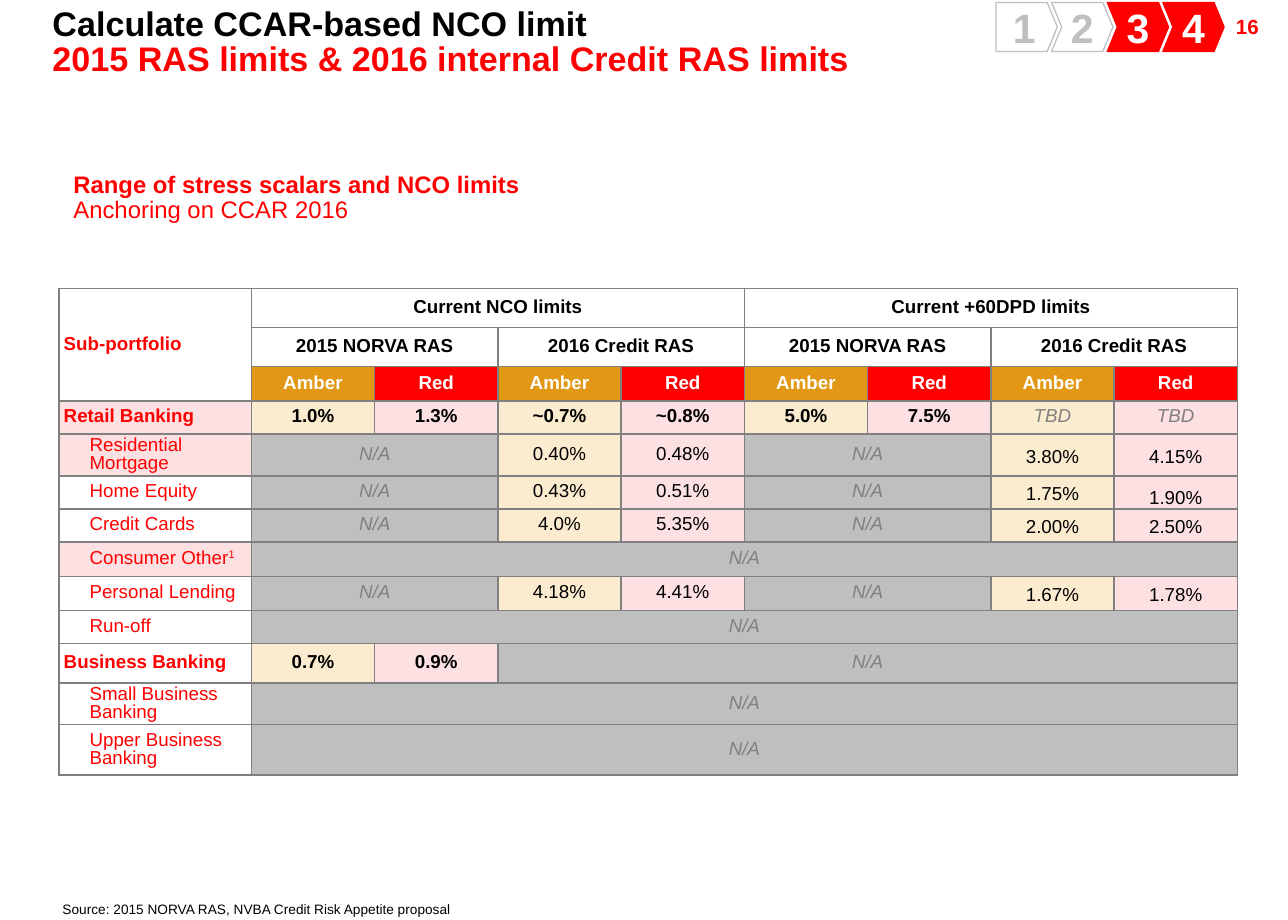
from lxml import etree
from pptx import Presentation, util as u
from pptx.dml.color import RGBColor
from pptx.enum import shapes, text
from pptx.oxml import ns

WIDTH, HEIGHT = 10.5, 7.5
RED = RGBColor(0xFF, 0x00, 0x00)
AMBER = RGBColor(0xE2, 0x98, 0x15)
PALE_RED = RGBColor(0xFC, 0xE0, 0xE2)
PALE_AMBER = RGBColor(0xFB, 0xEB, 0xCF)
BLACK = RGBColor(0x00, 0x00, 0x00)
WHITE = RGBColor(0xFF, 0xFF, 0xFF)
GREY = RGBColor(0x80, 0x80, 0x80)
SILVER = RGBColor(0xBF, 0xBF, 0xBF)

LEFT, CENTER, RIGHT = text.PP_ALIGN.LEFT, text.PP_ALIGN.CENTER, text.PP_ALIGN.RIGHT
TOP, MIDDLE, BOTTOM = text.MSO_ANCHOR.TOP, text.MSO_ANCHOR.MIDDLE, text.MSO_ANCHOR.BOTTOM

# Table content: None continues the cell to its left
NA2, NA6, NA8 = (["N/A"] + [None] * (span - 1) for span in (2, 6, 8))
HEADERS = [
    (0.32, ["Current NCO limits", None, None, None, "Current +60DPD limits", None, None, None]),
    (0.32, ["2015 NORVA RAS", None, "2016 Credit RAS", None] * 2),
    (0.28, ["Amber", "Red"] * 4),
]
PORTFOLIOS = [
    (0.27, "Retail Banking", ["1.0%", "1.3%", "~0.7%", "~0.8%", "5.0%", "7.5%", "TBD", "TBD"]),
    (0.34, "Residential Mortgage", [*NA2, "0.40%", "0.48%", *NA2, "3.80%", "4.15%"]),
    (0.27, "Home Equity", [*NA2, "0.43%", "0.51%", *NA2, "1.75%", "1.90%"]),
    (0.27, "Credit Cards", [*NA2, "4.0%", "5.35%", *NA2, "2.00%", "2.50%"]),
    (0.28, "Consumer Other", NA8),
    (0.28, "Personal Lending", [*NA2, "4.18%", "4.41%", *NA2, "1.67%", "1.78%"]),
    (0.27, "Run-off", NA8),
    (0.32, "Business Banking", ["0.7%", "0.9%", *NA6]),
    (0.34, "Small Business Banking", NA8),
    (0.41, "Upper Business Banking", NA8),
]
TOTALS = {"Retail Banking", "Business Banking"}
SHADED = {"Retail Banking", "Residential Mortgage", "Consumer Other"}
FOOTNOTES = {"Consumer Other": "1"}
LABEL_WIDTH, LIMIT_WIDTH, LIMIT_COLUMNS = 1.57, 1.005, 8


def write(paragraph, words, size=11, color=BLACK, bold=False, italic=False,
          align=LEFT, spacing=0.86, superscript=""):
    paragraph.alignment = align
    paragraph.line_spacing = spacing
    for part in filter(None, (words, superscript)):
        run = paragraph.add_run()
        run.text = part
        font = run.font
        font.name, font.size, font.bold, font.italic = "Arial", u.Pt(size), bold, italic
        font.color.rgb = color
    if superscript:
        run._r.get_or_add_rPr().set("baseline", "30000")


def set_margins(target, left=0, top=0, right=0, bottom=0):
    target.margin_left, target.margin_top = u.Inches(left), u.Inches(top)
    target.margin_right, target.margin_bottom = u.Inches(right), u.Inches(bottom)


def add_text(slide, box, lines, anchor=TOP, margins=(0.1, 0.05, 0.1, 0.05), **shared):
    frame = slide.shapes.add_textbox(*map(u.Inches, box)).text_frame
    frame.word_wrap = True
    frame.vertical_anchor = anchor
    set_margins(frame, *margins)
    for index, (words, formats) in enumerate(lines):
        paragraph = frame.add_paragraph() if index else frame.paragraphs[0]
        write(paragraph, words, **shared, **formats)


def add_tracker(slide, box, steps=4, first_active=3):
    """Row of numbered arrows, each overlapping the next a little."""
    left, top, width, height = box
    step_width = 0.5
    pitch = (width - step_width) / (steps - 1)
    for number in range(1, steps + 1):
        active = number >= first_active
        kind = shapes.MSO_SHAPE.PENTAGON if number == 1 else shapes.MSO_SHAPE.CHEVRON
        arrow = slide.shapes.add_shape(kind, u.Inches(left + (number - 1) * pitch),
                                       u.Inches(top), u.Inches(step_width), u.Inches(height))
        arrow.adjustments[0] = 0.206
        arrow.shadow.inherit = False
        arrow.fill.solid()
        arrow.fill.fore_color.rgb = RED if active else WHITE
        arrow.line.color.rgb = RED if active else SILVER
        arrow.line.width = u.Pt(0.75)
        frame = arrow.text_frame
        set_margins(frame)
        frame.vertical_anchor = MIDDLE
        write(frame.paragraphs[0], str(number), size=24, bold=True, align=CENTER,
              spacing=1.0, color=WHITE if active else SILVER)


def style_cell(cell, fill, margins=(), anchor=MIDDLE):
    cell.fill.solid()
    cell.fill.fore_color.rgb = fill
    cell.vertical_anchor = anchor
    set_margins(cell, *margins)


def add_borders(cell):
    properties = cell._tc.get_or_add_tcPr()
    for side in ("lnL", "lnR", "lnT", "lnB"):
        line = etree.SubElement(properties, ns.qn(f"a:{side}"), w=str(u.Pt(1)))
        solid = etree.SubElement(line, ns.qn("a:solidFill"))
        etree.SubElement(solid, ns.qn("a:srgbClr"), val=str(GREY))


def merge_row(table, row, values):
    """Merge each run of None into its value; yield column, value and span."""
    starts = [index for index, value in enumerate(values) if value is not None]
    for start, end in zip(starts, starts[1:] + [len(values)]):
        if end - start > 1:
            table.cell(row, start + 1).merge(table.cell(row, end))
        yield start + 1, values[start], end - start


def fill_headers(table):
    padding = (0.04, 0.03, 0.04, 0.03)
    corner = table.cell(0, 0)
    corner.merge(table.cell(len(HEADERS) - 1, 0))
    style_cell(corner, WHITE, padding)
    write(corner.text_frame.paragraphs[0], "Sub-portfolio", color=RED, bold=True)
    fills = {"Amber": AMBER, "Red": RED}
    for row, (_, values) in enumerate(HEADERS):
        for column, words, _ in merge_row(table, row, values):
            cell = table.cell(row, column)
            style_cell(cell, fills.get(words, WHITE), padding)
            write(cell.text_frame.paragraphs[0], words, bold=True, align=CENTER,
                  color=WHITE if words in fills else BLACK)


def fill_portfolio(table, row, label, values):
    total = label in TOTALS
    cell = table.cell(row, 0)
    style_cell(cell, PALE_RED if label in SHADED else WHITE,
               (0.04, 0.03, 0.04, 0.03) if total else (0.25,))
    write(cell.text_frame.paragraphs[0], label, color=RED, bold=total,
          superscript=FOOTNOTES.get(label, ""))
    for column, words, span in merge_row(table, row, values):
        missing = words in ("N/A", "TBD")
        loose = column >= 7 and not missing
        cell = table.cell(row, column)
        fill = SILVER if span > 1 else PALE_AMBER if column % 2 else PALE_RED
        style_cell(cell, fill, anchor=BOTTOM if words == "1.90%" else MIDDLE)
        write(cell.text_frame.paragraphs[0], words, align=CENTER,
              color=GREY if missing else BLACK, italic=missing,
              bold=total and not missing, spacing=1.15 if loose else 0.86)


def add_limits_table(slide, left, top):
    heights = [entry[0] for entry in HEADERS + PORTFOLIOS]
    widths = [LABEL_WIDTH] + [LIMIT_WIDTH] * LIMIT_COLUMNS
    table = slide.shapes.add_table(len(heights), len(widths), u.Inches(left), u.Inches(top),
                                   u.Inches(sum(widths)), u.Inches(sum(heights))).table
    table.first_row = table.horz_banding = False
    for column, width in zip(table.columns, widths):
        column.width = u.Inches(width)
    for row, height in zip(table.rows, heights):
        row.height = u.Inches(height)
    for cell in table.iter_cells():
        add_borders(cell)
    fill_headers(table)
    for row, (_, label, values) in enumerate(PORTFOLIOS, start=len(HEADERS)):
        fill_portfolio(table, row, label, values)


def build_limits_slide(presentation):
    slide = presentation.slides.add_slide(presentation.slide_layouts[6])
    # Page number
    add_text(slide, (WIDTH - 1.14, 0.11, 1, 0.24), [("16", {})], anchor=MIDDLE,
             margins=(0.1, 0, 0.1, 0), size=12, color=RED, bold=True, align=RIGHT)
    # Limits table
    add_limits_table(slide, 0.48, 2.35)
    # Title and table heading
    add_text(slide, (0.33, 0.02, 7.7, 0.68), [
        ("Calculate CCAR-based NCO limit", {"color": BLACK}),
        ("2015 RAS limits & 2016 internal Credit RAS limits", {"color": RED}),
    ], size=20, bold=True)
    add_text(slide, (0.5, 1.37, 4.84, 0.51), [
        ("Range of stress scalars and NCO limits", {"bold": True}),
        ("Anchoring on CCAR 2016", {}),
    ], size=14, color=RED)
    # Step tracker
    add_tracker(slide, (8.12, 0.02, 1.86, 0.4))
    # Source line
    add_text(slide, (0.51, HEIGHT - 0.15, 9.5, 0.13),
             [("Source: 2015 NORVA RAS, NVBA Credit Risk Appetite proposal", {})],
             anchor=BOTTOM, margins=(), size=8, spacing=1.0)


def main():
    presentation = Presentation()
    presentation.slide_width, presentation.slide_height = u.Inches(WIDTH), u.Inches(HEIGHT)
    build_limits_slide(presentation)
    presentation.save("out.pptx")


if __name__ == "__main__":
    main()
